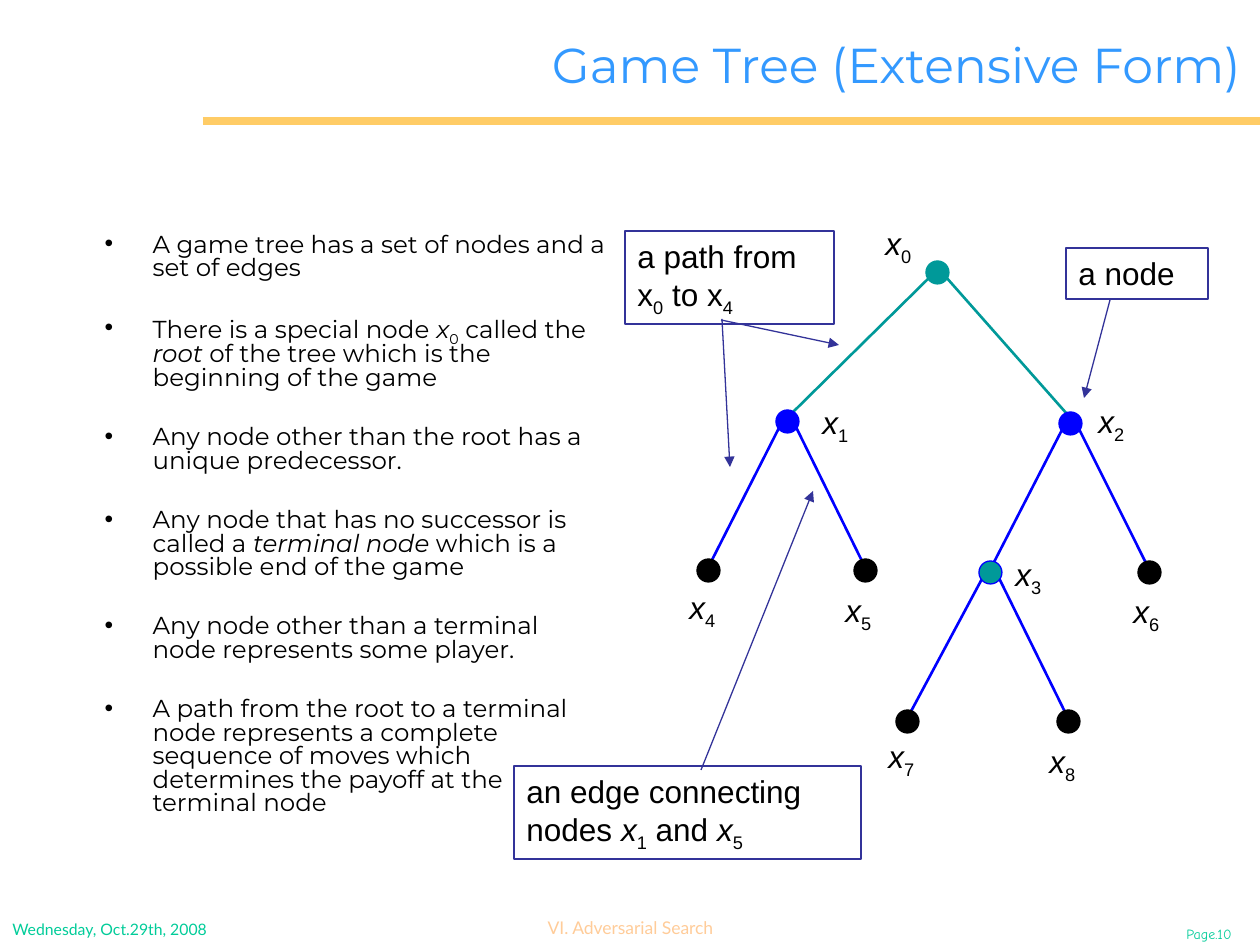
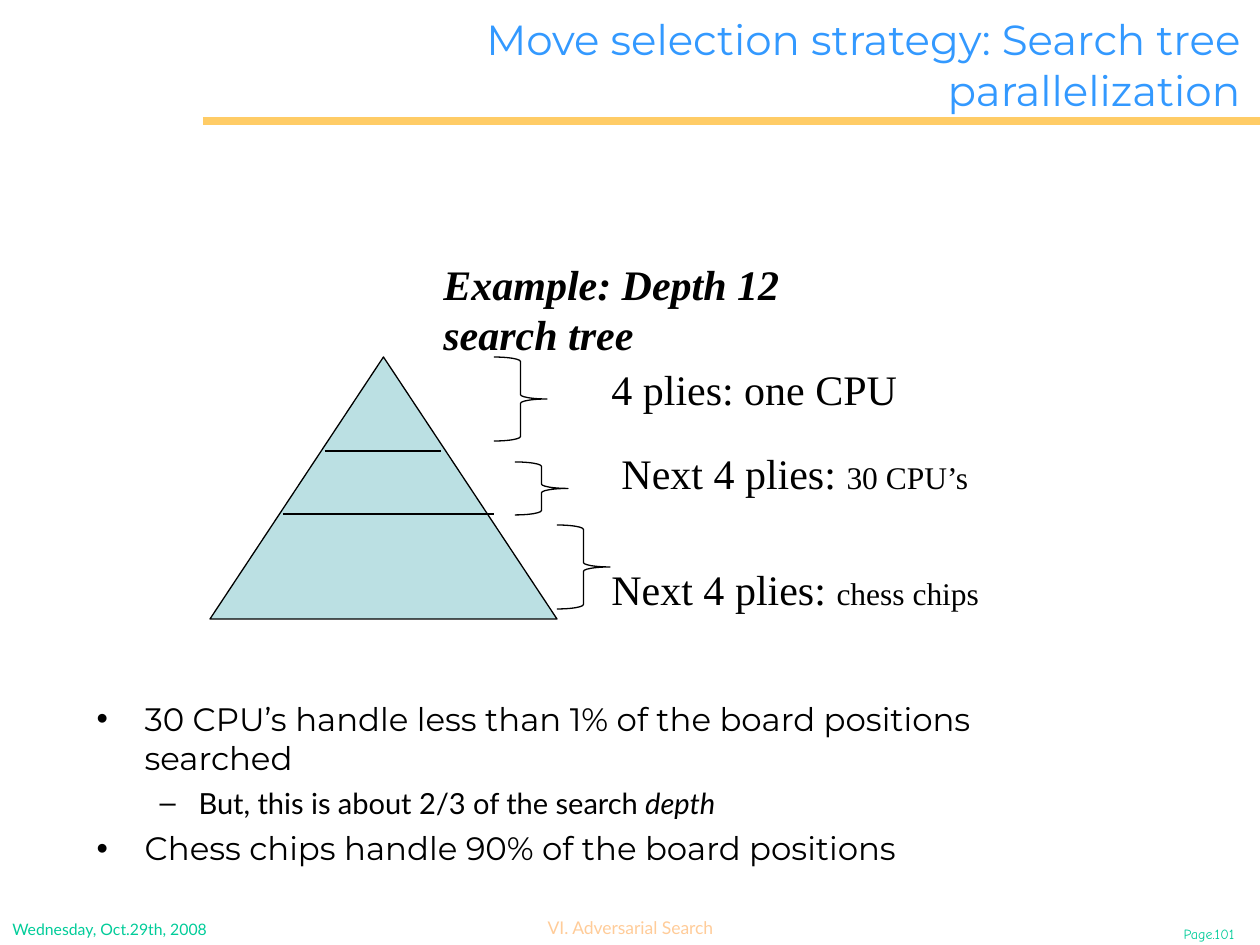
"""Build two slides on game trees and parallel search."""
import dataclasses

import lxml.etree
import pptx
import pptx.dml.color
import pptx.enum.shapes
import pptx.enum.text
import pptx.oxml.ns
import pptx.util

EMU_PER_PX = 914400 / 126
SHAPE = pptx.enum.shapes.MSO_SHAPE
ALIGN = pptx.enum.text.PP_ALIGN
ANCHOR = pptx.enum.text.MSO_ANCHOR


@dataclasses.dataclass(frozen=True)
class Theme:
    """Colours, fonts and type sizes of the deck."""
    black: str = "000000"
    title: str = "3399FF"
    band: str = "FFCC66"
    footer: str = "FFCC99"
    date: str = "00CC99"
    teal: str = "009999"
    blue: str = "0000FF"
    callout: str = "333399"
    pyramid: str = "BBE0E3"
    heading_font: str = "Montserrat"
    text_font: str = "Lato"
    page_font: str = "Comic Neue"
    tree_font: str = "Arial"
    serif_font: str = "Times New Roman"
    title_size: float = 28
    long_title_size: float = 24
    dense_size: float = 14
    list_size: float = 18.5
    sublist_size: float = 16.6
    label_size: float = 18
    plies_size: float = 24
    footer_size: float = 10
    date_size: float = 9
    page_size: float = 8
    thin: float = 0.75
    edge: float = 1.5
    thick: float = 4.5


def px(length):
    """Turn pixels into EMU."""
    return pptx.util.Emu(round(length * EMU_PER_PX))


def rgb(color):
    """Turn a hex string into a colour."""
    return pptx.dml.color.RGBColor.from_string(color)


def italic(text):
    """Return one italic run."""
    return text, {"italic": True}


def subscript(text):
    """Return one lowered run."""
    return text, {"baseline": "-25000"}


def variable(index):
    """Return the runs of x with a subscript."""
    return [italic("x"), subscript(str(index))]


class Deck:
    """Hold the style and the current slide."""

    def __init__(self, theme):
        """Start an empty presentation."""
        self.theme = theme
        self.presentation = pptx.Presentation()
        self.presentation.slide_width = px(1260)
        self.presentation.slide_height = px(945)
        self.slide = None

    def new_slide(self, title, size, page):
        """Add a slide with its title, band and footers."""
        theme = self.theme
        layout = self.presentation.slide_layouts[1]
        self.slide = self.presentation.slides.add_slide(layout)
        frame = self.place(self.slide.shapes.title, (236, 16, 1017, 96))
        frame.vertical_anchor = ANCHOR.MIDDLE
        self.fill_paragraph(frame.paragraphs[0], [title], theme.heading_font, size,
                            theme.title, ALIGN.RIGHT)
        self.line((203, 121), (1260, 121), theme.band, theme.thick)
        self.text((1163, 919, 92, 30), [f"Page.{page}"], theme.page_font,
                  theme.page_size, theme.date, ALIGN.CENTER)
        self.text((529, 911, 203, 34), ["VI. Adversarial Search"], theme.text_font,
                  theme.footer_size, theme.footer, ALIGN.CENTER)
        self.text((0, 914, 302, 32), ["Wednesday, Oct.29th, 2008"], theme.text_font,
                  theme.date_size, theme.date)

    def place(self, shape, bounds):
        """Move a text shape and return its wrapping frame."""
        shape.left, shape.top, shape.width, shape.height = map(px, bounds)
        frame = shape.text_frame
        frame.word_wrap = True
        frame.auto_size = pptx.enum.text.MSO_AUTO_SIZE.NONE
        frame.vertical_anchor = ANCHOR.TOP
        return frame

    def fill_paragraph(self, paragraph, runs, font, size, color=None,
                       align=ALIGN.LEFT):
        """Fill a paragraph with plain or styled runs."""
        paragraph.alignment = align
        paragraph.font.name = font
        paragraph.font.size = pptx.util.Pt(size)
        paragraph.font.color.rgb = rgb(color or self.theme.black)
        for item in runs:
            text, style = (item, {}) if isinstance(item, str) else item
            run = paragraph.add_run()
            run.text = text
            if "italic" in style:
                run.font.italic = True
            if "size" in style:
                run.font.size = pptx.util.Pt(style["size"])
            if "baseline" in style:
                run._r.get_or_add_rPr().set("baseline", style["baseline"])

    def text(self, bounds, runs, font, size, color=None, align=ALIGN.LEFT):
        """Add a text box and return its paragraph."""
        frame = self.place(self.slide.shapes.add_textbox(0, 0, 0, 0), bounds)
        self.fill_paragraph(frame.paragraphs[0], runs, font, size, color, align)
        return frame.paragraphs[0]

    def bullets(self, bounds, items, sizes, gaps, line_spacing=1.0):
        """Fill the body placeholder with (level, runs) items."""
        frame = self.place(self.slide.placeholders[1], bounds)
        fonts = (self.theme.heading_font, self.theme.text_font)
        indents = ((48, -48), (102, -39))
        for index, (level, runs) in enumerate(items):
            paragraph = frame.add_paragraph() if index else frame.paragraphs[0]
            paragraph.level = level
            paragraph.line_spacing = line_spacing
            paragraph.space_before = pptx.util.Pt(gaps[level] if index else 0)
            properties = paragraph._p.get_or_add_pPr()
            margin, indent = indents[level]
            properties.set("marL", str(px(margin)))
            properties.set("indent", str(px(indent)))
            self.fill_paragraph(paragraph, runs, fonts[level], sizes[level])

    def shape(self, kind, bounds, line, fill=None):
        """Add an outlined preset shape."""
        shape = self.slide.shapes.add_shape(kind, *map(px, bounds))
        shape.shadow.inherit = False
        if fill:
            shape.fill.solid()
            shape.fill.fore_color.rgb = rgb(fill)
        else:
            shape.fill.background()
        shape.line.color.rgb = rgb(line)
        shape.line.width = pptx.util.Pt(self.theme.thin)
        return shape

    def line(self, start, end, color, width, arrow=False):
        """Add a straight line, with an arrowhead if asked."""
        connector = self.slide.shapes.add_connector(
            pptx.enum.shapes.MSO_CONNECTOR.STRAIGHT, *map(px, (*start, *end)))
        connector.line.color.rgb = rgb(color)
        connector.line.width = pptx.util.Pt(width)
        if arrow:
            lxml.etree.SubElement(connector.line._get_or_add_ln(),
                                  pptx.oxml.ns.qn("a:tailEnd"), type="triangle")
        lxml.etree.SubElement(connector._element.spPr,
                              pptx.oxml.ns.qn("a:effectLst"))

    def callout(self, bounds, runs, arrows):
        """Add a framed remark and its arrows."""
        theme = self.theme
        shape = self.shape(SHAPE.RECTANGLE, bounds, theme.callout)
        frame = self.place(shape, bounds)
        self.fill_paragraph(frame.paragraphs[0], runs, theme.tree_font,
                            theme.label_size)
        for start, end in arrows:
            self.line(start, end, theme.callout, theme.thin, arrow=True)

    def node(self, center, fill, line):
        """Add a tree node around its centre."""
        x, y = center
        self.shape(SHAPE.OVAL, (x - 11, y - 11, 23, 23), line, fill)

    def branch(self, parent, children, color):
        """Join a node to its left and right children."""
        offsets = (((-7, 5), (1, -4)), ((8, 4), (-3, -9)))
        for child, (leave, arrive) in zip(children, offsets):
            start = (parent[0] + leave[0], parent[1] + leave[1])
            end = (child[0] + arrive[0], child[1] + arrive[1])
            self.line(start, end, color, self.theme.edge)


def add_game_tree(deck):
    """Add the slide that defines the game tree."""
    theme = deck.theme
    deck.new_slide("Game Tree (Extensive Form)", theme.title_size, 10)
    statements = [
        ["A game tree has a set of nodes and a set of edges"],
        ["There is a special node ", *variable(0), " called the ", italic("root"),
         " of the tree which is the beginning of the game"],
        ["Any node other than the root has a unique predecessor."],
        ["Any node that has no successor is called a ", italic("terminal node"),
         " which is a possible end of the game"],
        ["Any node other than a terminal node represents some player."],
        ["A path from the root to a terminal node represents a complete sequence "
         "of moves which determines the payoff at the terminal node"],
    ]
    deck.bullets((92, 228, 527, 624), [(0, runs) for runs in statements],
                 [theme.dense_size], [20.5], 0.8)

    centers = [(937, 272), (787, 421), (1070, 423), (990, 572), (708, 570),
               (865, 570), (1149, 572), (907, 721), (1068, 721)]
    labels = [(873, 218), (810, 397), (1086, 396), (1003, 549), (677, 582),
              (833, 585), (1121, 586), (876, 731), (1037, 736)]
    children = {0: (1, 2), 1: (4, 5), 2: (3, 6), 3: (7, 8)}
    inner_colors = {0: (theme.teal, theme.teal), 1: (theme.blue, theme.blue),
                    2: (theme.blue, theme.blue), 3: (theme.teal, theme.blue)}
    for parent, pair in children.items():
        deck.branch(centers[parent], [centers[child] for child in pair],
                    theme.blue if parent else theme.teal)
    for index, (center, corner) in enumerate(zip(centers, labels)):
        deck.node(center, *inner_colors.get(index, (theme.black, theme.black)))
        deck.text((*corner, 69, 55), variable(index), theme.tree_font,
                  theme.label_size)

    deck.callout((1066, 248, 142, 51), ["a node"], [((1110, 300), (1084, 398))])
    deck.callout((514, 766, 347, 93),
                 ["an edge connecting nodes ", *variable(1), " and ", *variable(5)],
                 [((701, 770), (813, 491))])
    deck.callout((625, 231, 209, 93),
                 ["a path from x", subscript("0"), " to x", subscript("4")],
                 [((722, 319), (730, 467)), ((721, 320), (839, 345))])


def add_parallel_search(deck):
    """Add the slide on splitting the search tree."""
    theme = deck.theme
    deck.new_slide("Move selection strategy: Search tree parallelization",
                   theme.long_title_size, 101)
    deck.bullets((84, 693, 1050, 189), [
        (0, ["30 CPU’s handle less than 1% of the board positions searched"]),
        (1, ["But, this is about 2/3 of the search ", italic("depth")]),
        (0, ["Chess chips handle 90% of the board positions"]),
    ], [theme.list_size, theme.sublist_size], [5, 4.5])

    deck.shape(SHAPE.ISOSCELES_TRIANGLE, (210, 357, 347, 262), theme.black,
               theme.pyramid)
    for left, right, y in ((325, 441, 451), (283, 494, 514)):
        deck.line((left, y), (right, y), theme.black, theme.thin)
    for left, top, height in ((494, 357, 84), (515, 462, 53), (557, 525, 84)):
        deck.shape(SHAPE.RIGHT_BRACE, (left, top, 53, height), theme.black)

    small = {"size": theme.label_size}
    plies = [
        ((599, 357, 315, 63), ["4 plies: one CPU"]),
        ((609, 441, 399, 63), ["Next 4 plies: ", ("30 CPU’s", small)]),
        ((599, 557, 399, 63), ["Next 4 plies: ", ("chess chips", small)]),
    ]
    for bounds, runs in plies:
        deck.text(bounds, runs, theme.serif_font, theme.plies_size)
    example = deck.text((431, 252, 420, 113), ["Example: Depth 12 search tree"],
                        theme.serif_font, theme.plies_size)
    example.font.bold = True
    example.font.italic = True


def main():
    """Build both slides and save them."""
    deck = Deck(Theme())
    add_game_tree(deck)
    add_parallel_search(deck)
    deck.presentation.save("out.pptx")


if __name__ == "__main__":
    main()
